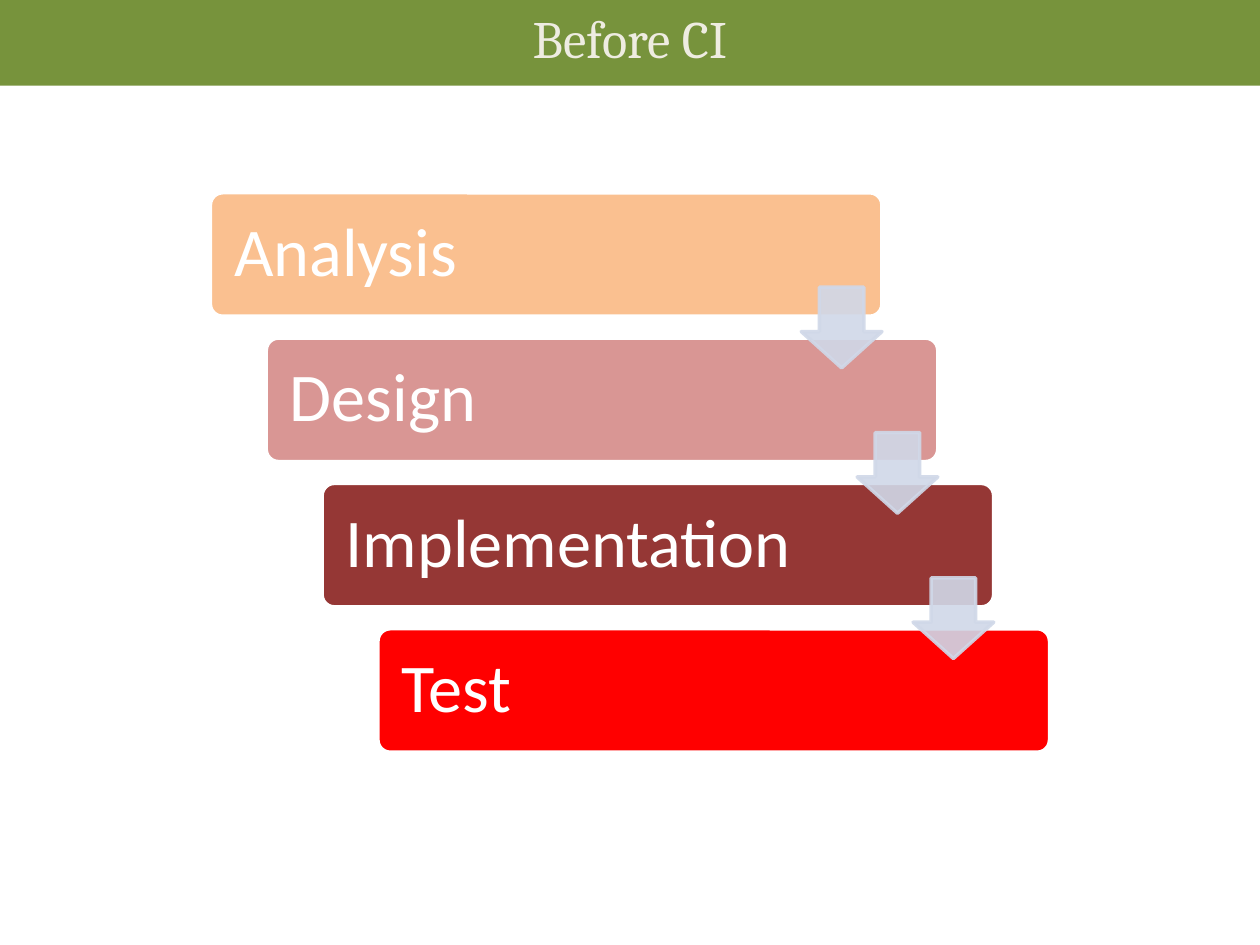
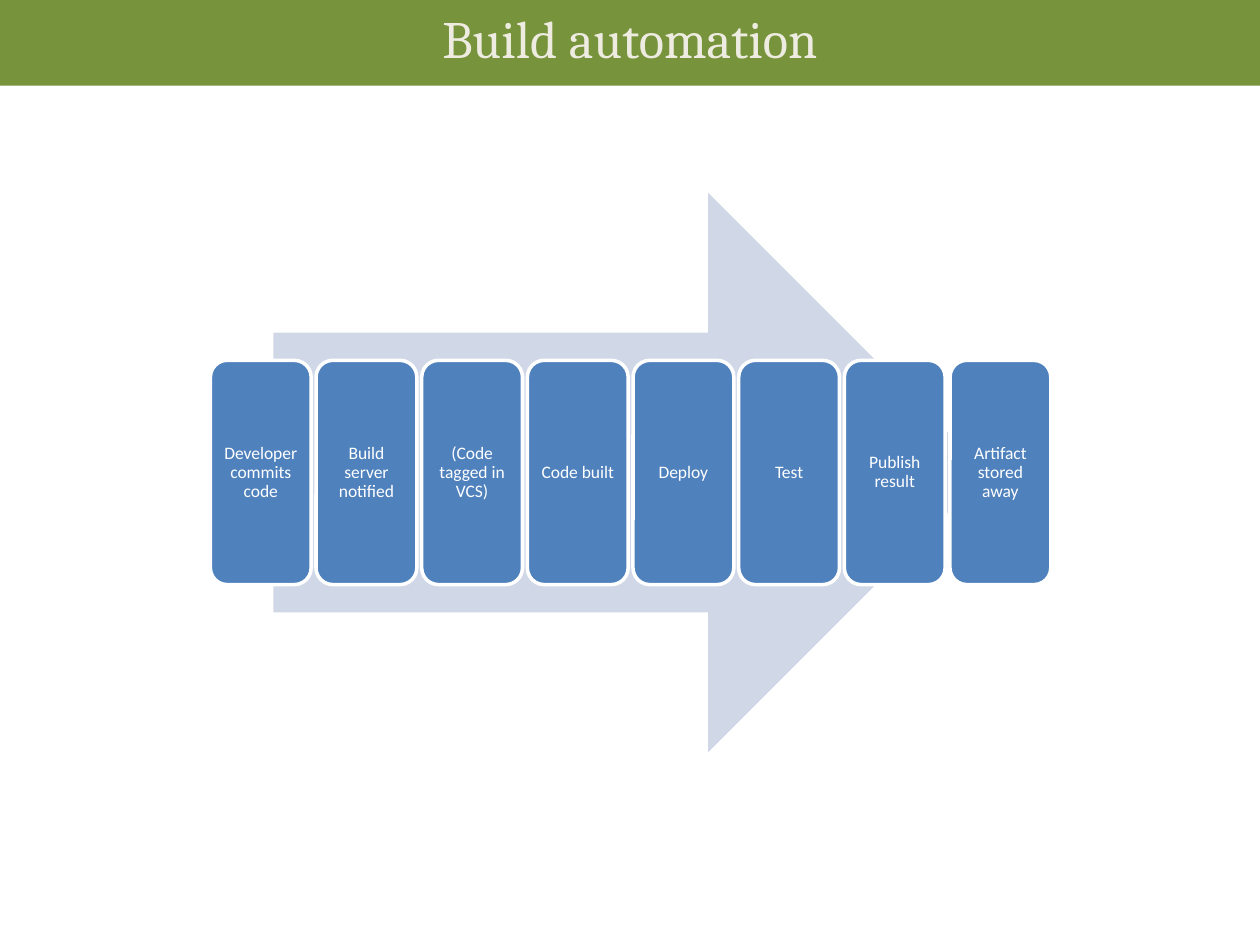
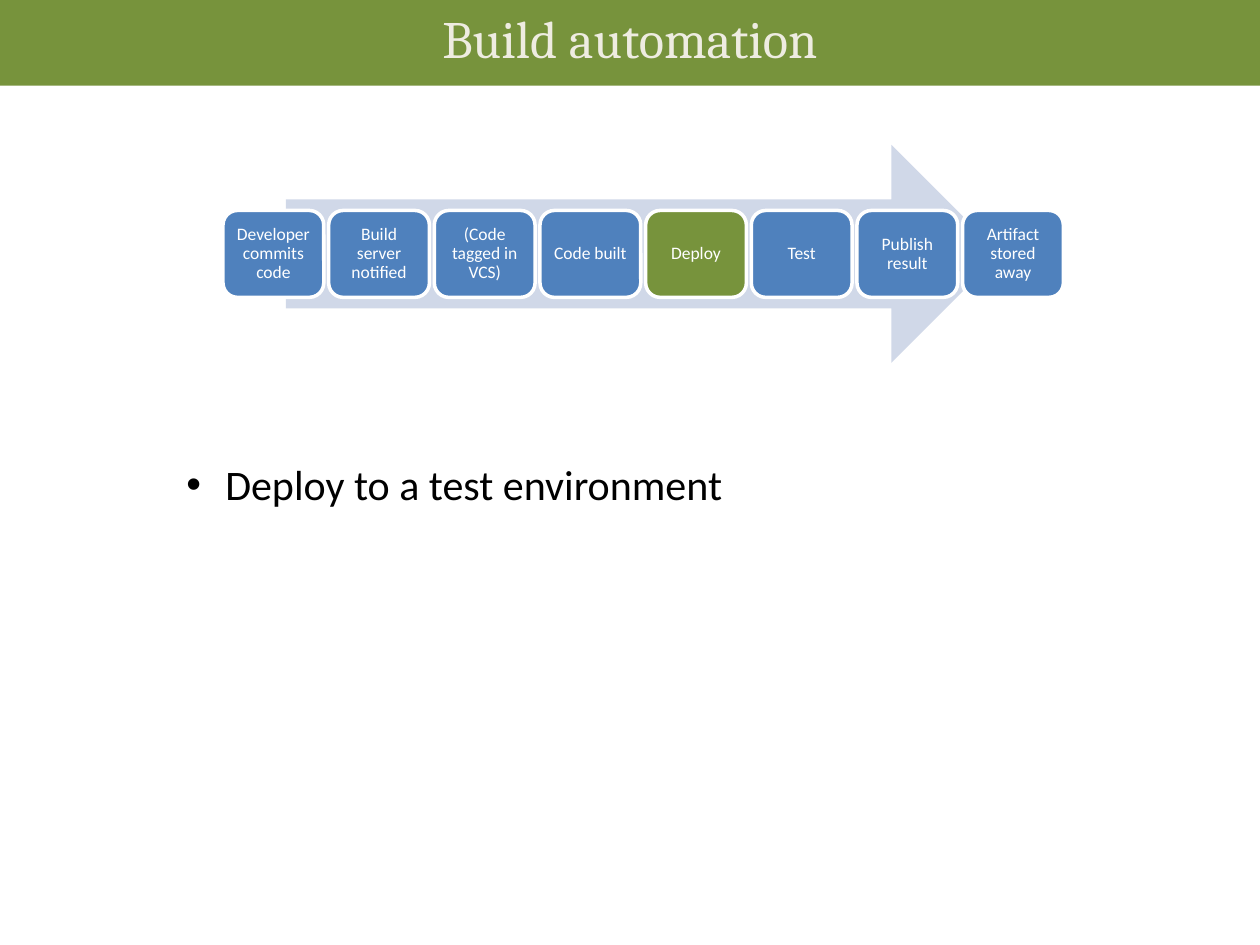
from dataclasses import dataclass

from lxml import etree
from pptx import Presentation
from pptx.dml.color import RGBColor
from pptx.enum import shapes, text
from pptx.oxml import ns
from pptx.util import Inches, Pt

WHITE = RGBColor(0xFF, 0xFF, 0xFF)
BLACK = RGBColor(0x00, 0x00, 0x00)
CREAM = RGBColor(0xEE, 0xEC, 0xE1)
GREEN = RGBColor(0x77, 0x93, 0x3C)
BLUE = RGBColor(0x4F, 0x81, 0xBD)
PALE_BLUE = RGBColor(0xD0, 0xD8, 0xE8)
ORANGE = RGBColor(0xFA, 0xC0, 0x90)
PINK = RGBColor(0xD9, 0x96, 0x94)
DARK_RED = RGBColor(0x95, 0x37, 0x35)
RED = RGBColor(0xFF, 0x00, 0x00)

SHAPE = shapes.MSO_SHAPE
LEFT, CENTER = text.PP_ALIGN.LEFT, text.PP_ALIGN.CENTER
MARGINS = ("margin_left", "margin_top", "margin_right", "margin_bottom")
TITLE_FONT = {"name": "Cambria", "size": Pt(30)}
PHASE_FONT = {"name": "Calibri", "size": Pt(39)}
STEP_FONT = {"name": "Calibri", "size": Pt(10)}
BULLET_FONT = {"name": "Calibri", "size": Pt(24)}

PHASE_RIGHT, PHASE_DOWN = 1.33 / 3, 3.46 / 3
STEP_PITCH = 5.87 / 7


@dataclass(frozen=True)
class Box:
    left: float
    top: float
    width: float
    height: float

    def moved(self, right: float, down: float = 0) -> "Box":
        return Box(self.left + right, self.top + down, self.width, self.height)

    def lengths(self) -> list:
        return [Inches(value) for value in (self.left, self.top, self.width, self.height)]


@dataclass(frozen=True)
class Block:
    label: str
    color: RGBColor


@dataclass(frozen=True)
class Pipeline:
    arrow: Box
    first_step: Box
    highlighted: str = ""


PHASES = (
    Block("Analysis", ORANGE),
    Block("Design", PINK),
    Block("Implementation", DARK_RED),
    Block("Test", RED),
)
STEPS = (
    "Developer commits code",
    "Build server notified",
    "(Code tagged in VCS)",
    "Code built",
    "Deploy",
    "Test",
    "Publish result",
    "Artifact stored away",
)
FULL_PIPELINE = Pipeline(Box(2.17, 1.53, 5.67, 4.44), Box(1.67, 2.86, 0.8, 1.78))
DEPLOY_PIPELINE = Pipeline(Box(2.27, 1.15, 5.67, 1.73), Box(1.77, 1.67, 0.8, 0.69), "Deploy")


def apply(target, values: dict) -> None:
    for name, value in values.items():
        setattr(target, name, value)


def write(shape, label: str, font: dict, color: RGBColor, alignment):
    """Put one formatted paragraph in the shape and return it."""
    paragraph = shape.text_frame.paragraphs[0]
    paragraph.alignment = alignment
    run = paragraph.add_run()
    run.text = label
    apply(run.font, font)
    run.font.color.rgb = color
    return paragraph


def add_titled_slide(presentation, title: str):
    slide = presentation.slides.add_slide(presentation.slide_layouts[5])
    band = slide.shapes.title
    apply(band, dict(zip(("left", "top", "width", "height"), Box(0, 0, 10, 0.68).lengths())))
    band.fill.solid()
    band.fill.fore_color.rgb = GREEN
    apply(band.text_frame, {
        "vertical_anchor": text.MSO_ANCHOR.TOP,
        "auto_size": text.MSO_AUTO_SIZE.NONE,
        "word_wrap": True,
    })
    write(band, title, TITLE_FONT, CREAM, CENTER)
    return slide


def add_figure(slide, kind, box: Box, fill: RGBColor, outline: RGBColor | None = None,
               adjustments: tuple = ()):
    shape = slide.shapes.add_shape(kind, *box.lengths())
    shape.shadow.inherit = False
    shape.fill.solid()
    shape.fill.fore_color.rgb = fill
    if outline is None:
        shape.line.fill.background()
    else:
        shape.line.color.rgb = outline
        shape.line.width = Pt(2)
    for index, value in enumerate(adjustments):
        shape.adjustments[index] = value
    return shape


def add_block(slide, block: Block, box: Box, font: dict, alignment, margin: float,
              adjustments: tuple = ()) -> None:
    shape = add_figure(slide, SHAPE.ROUNDED_RECTANGLE, box, block.color, WHITE, adjustments)
    frame = shape.text_frame
    apply(frame, dict.fromkeys(MARGINS, Inches(margin)))
    apply(frame, {"word_wrap": True, "vertical_anchor": text.MSO_ANCHOR.MIDDLE})
    write(shape, block.label, font, WHITE, alignment).line_spacing = 0.9


def set_opacity(shape, percent: int) -> None:
    """Make the fill and the outline of the shape see-through."""
    for color in shape._element.spPr.iter(ns.qn("a:srgbClr")):
        etree.SubElement(color, ns.qn("a:alpha")).set("val", str(percent * 1000))


def add_waterfall(slide) -> None:
    first_phase, first_arrow = Box(1.67, 1.53, 5.33, 0.98), Box(6.36, 2.28, 0.64, 0.64)
    for index, phase in enumerate(PHASES):
        box = first_phase.moved(index * PHASE_RIGHT, index * PHASE_DOWN)
        add_block(slide, phase, box, PHASE_FONT, LEFT, 0.16, (0.1,))
    for index in range(len(PHASES) - 1):
        box = first_arrow.moved(index * PHASE_RIGHT, index * PHASE_DOWN)
        arrow = add_figure(slide, SHAPE.DOWN_ARROW, box, PALE_BLUE, PALE_BLUE, (0.55, 0.45))
        set_opacity(arrow, 90)


def add_pipeline(slide, pipeline: Pipeline) -> None:
    add_figure(slide, SHAPE.RIGHT_ARROW, pipeline.arrow, PALE_BLUE)
    for index, label in enumerate(STEPS):
        step = Block(label, GREEN if label == pipeline.highlighted else BLUE)
        box = pipeline.first_step.moved(index * STEP_PITCH)
        add_block(slide, step, box, STEP_FONT, CENTER, 0.04)


def add_bullet(slide, label: str, box: Box) -> None:
    shape = slide.shapes.add_textbox(*box.lengths())
    shape.text_frame.word_wrap = True
    paragraph = write(shape, label, BULLET_FONT, BLACK, LEFT)
    properties = paragraph._p.get_or_add_pPr()
    indent = Inches(0.31)
    properties.set("marL", str(indent))
    properties.set("indent", str(-indent))
    etree.SubElement(properties, ns.qn("a:buFont")).set("typeface", "Arial")
    etree.SubElement(properties, ns.qn("a:buChar")).set("char", "•")


def main() -> None:
    presentation = Presentation()
    presentation.slide_width, presentation.slide_height = Inches(10), Inches(7.5)

    add_waterfall(add_titled_slide(presentation, "Before CI"))
    add_pipeline(add_titled_slide(presentation, "Build automation"), FULL_PIPELINE)

    deploy_slide = add_titled_slide(presentation, "Build automation")
    add_pipeline(deploy_slide, DEPLOY_PIPELINE)
    add_bullet(deploy_slide, "Deploy to a test environment", Box(1.38, 3.59, 7.48, 0.5))

    presentation.save("out.pptx")


if __name__ == "__main__":
    main()
